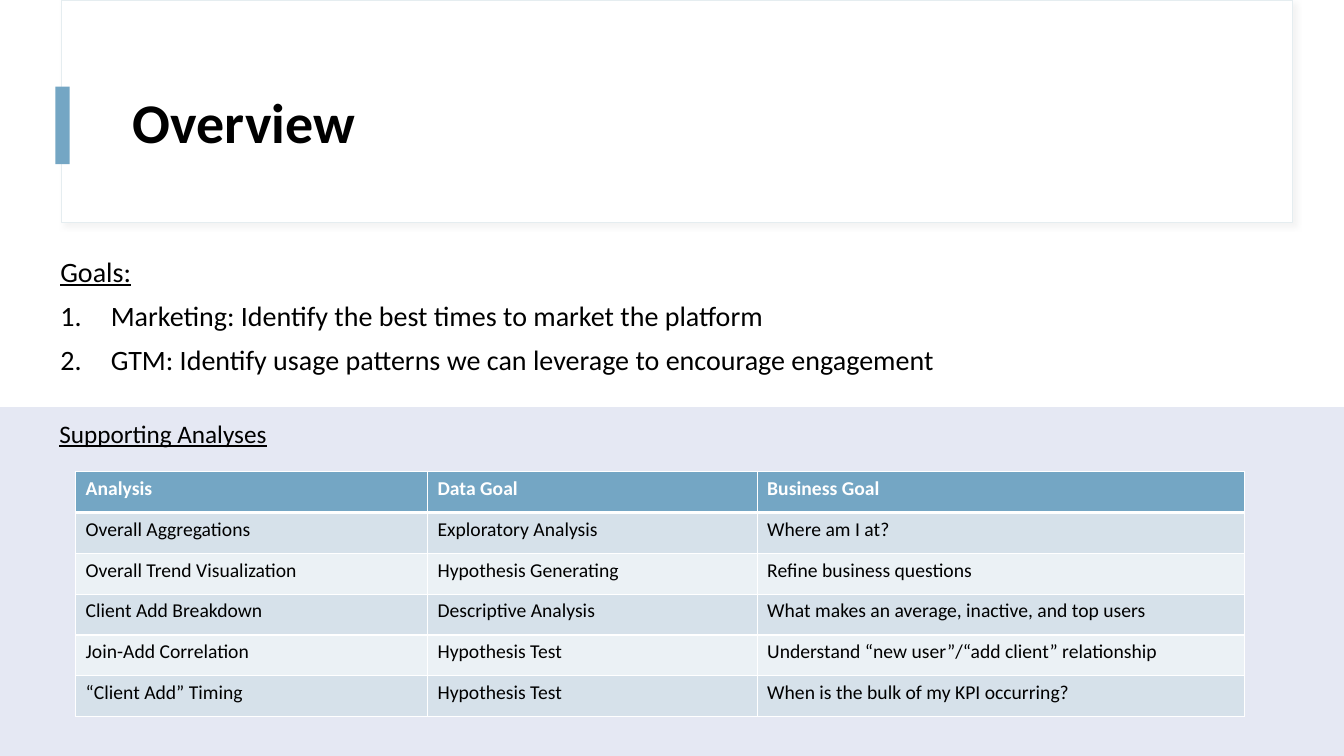
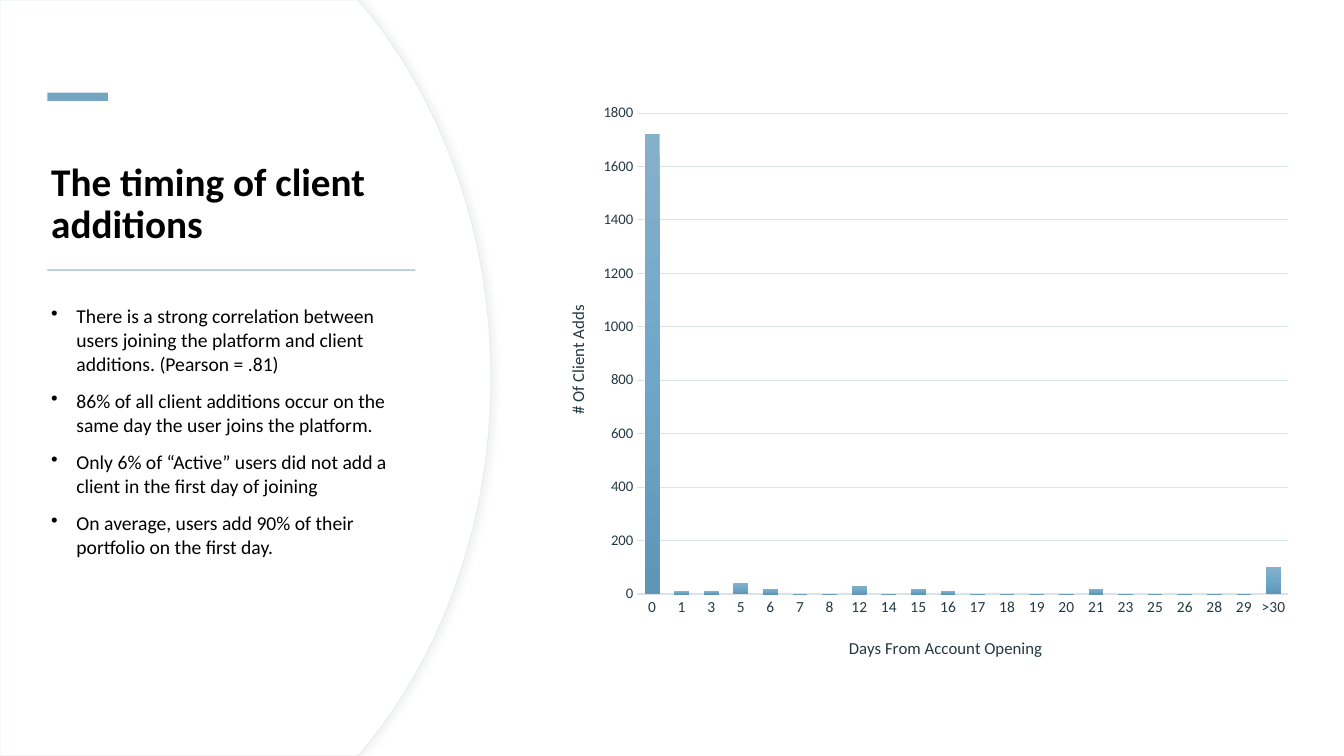
from dataclasses import dataclass

from lxml.etree import SubElement
from pptx import Presentation
from pptx.chart.data import CategoryChartData
from pptx.dml.color import RGBColor
from pptx.enum.chart import XL_CHART_TYPE, XL_TICK_MARK
from pptx.enum.shapes import MSO_SHAPE
from pptx.enum.text import MSO_ANCHOR
from pptx.oxml import parse_xml
from pptx.oxml.ns import qn
from pptx.util import Inches, Pt

DRAWING_NS = "http://schemas.openxmlformats.org/drawingml/2006/main"


@dataclass(frozen=True)
class Theme:
    """Colours, type sizes and font shared by the slides."""
    font: str = "Calibri"
    white: str = "FFFFFF"
    black: str = "000000"
    accent: str = "74A6C4"
    outline: str = "E5EDF0"
    shadow: str = "D9D9D9"
    rule: str = "BDD2DB"
    band: str = "E5E8F3"
    row_fills: tuple = ("D6E1EA", "EBF1F5")
    chart_text: str = "243941"
    grid: str = "D8E4E9"
    bar_stops: tuple = ((0, "85B0CB"), (50, "70A7C8"), (100, "5F96B6"))
    title: float = 40
    side_title: float = 28
    goals: float = 20
    heading: float = 18
    body: float = 14
    axis_title: float = 12
    categories: float = 11
    values: float = 10.5


THEME = Theme()


def rgb(colour):
    """Turn a hex string into a colour."""
    return RGBColor.from_string(colour)


def paint(shape, fill, line=None):
    """Give a shape a flat fill, an optional thin outline and no shadow."""
    shape.shadow.inherit = False
    shape.fill.solid()
    shape.fill.fore_color.rgb = rgb(fill)
    if line:
        shape.line.color.rgb = rgb(line)
        shape.line.width = Pt(0.75)
    else:
        shape.line.fill.background()
    return shape


def add_soft_shadow(shape, degrees):
    """Cast a faint blurred shadow in the given direction."""
    effects = shape._element.spPr.find(qn("a:effectLst"))
    cast = SubElement(effects, qn("a:outerShdw"), blurRad=str(Pt(4)),
                      dist=str(Pt(3)), dir=str(degrees * 60000), rotWithShape="0")
    colour = SubElement(cast, qn("a:srgbClr"), val=THEME.shadow)
    SubElement(colour, qn("a:alpha"), val="30000")


def add_block(slide, box, fill, line=None):
    """Draw a rectangle in the box."""
    lengths = [Inches(length) for length in box]
    return paint(slide.shapes.add_shape(MSO_SHAPE.RECTANGLE, *lengths), fill, line)


def style_font(font, size, colour=THEME.black, bold=False, underline=False):
    """Set the theme font with a size, colour and weight."""
    font.name, font.size, font.bold = THEME.font, Pt(size), bold
    font.color.rgb = rgb(colour)
    if underline:
        font.underline = True


def add_text(slide, box, lines, size, anchor=MSO_ANCHOR.TOP, spacing=1.0,
             before=0, **style):
    """Write one paragraph per line in the box and return the paragraphs."""
    frame = slide.shapes.add_textbox(*[Inches(length) for length in box]).text_frame
    frame.word_wrap = True
    frame.vertical_anchor = anchor
    frame.text = "\n".join(lines)
    for paragraph in frame.paragraphs:
        style_font(paragraph.font, size, **style)
        paragraph.line_spacing = spacing
        paragraph.space_before = Pt(before)
    return frame.paragraphs


def add_title(slide, box, wording, size, anchor):
    """Write a bold slide title."""
    add_text(slide, box, [wording], size, anchor, spacing=0.9, bold=True)


def indent(paragraph, left, hanging=0, marker=None, **marker_details):
    """Indent a paragraph and give it an optional bullet or number."""
    properties = paragraph._p.get_or_add_pPr()
    properties.set("marL", str(Inches(left)))
    properties.set("indent", str(-Inches(hanging)))
    if marker:
        SubElement(properties, qn(marker), **marker_details)


def header_card(slide, left, width, height):
    """Draw the outlined title card with its accent tab."""
    add_soft_shadow(add_block(slide, (left, 0, width, height), THEME.white,
                              THEME.outline), 45)
    add_block(slide, (left - 0.06, 0.86, 0.14, 0.77), THEME.accent)
    add_title(slide, (left + 0.61, 0.6, 11.12, 1.29), "Overview", THEME.title,
              MSO_ANCHOR.MIDDLE)


def goals_list(slide, box):
    """Write the underlined heading and the numbered goals."""
    heading, *goals = add_text(slide, box, [
        "Goals:",
        "Marketing: Identify the best times to market the platform",
        "GTM: Identify usage patterns we can leverage to encourage engagement",
    ], THEME.goals, spacing=1.1, before=5)
    heading.font.underline = True
    indent(heading, 0.5)
    for goal in goals:
        indent(goal, 1, 0.5, "a:buAutoNum", type="arabicPeriod")


def border_cell(cell, top=1, bottom=1):
    """Draw white borders around a table cell."""
    properties = cell._tc.get_or_add_tcPr()
    for side, width in (("L", 1), ("R", 1), ("T", top), ("B", bottom)):
        line = SubElement(properties, qn("a:ln" + side), w=str(Pt(width)))
        fill = SubElement(line, qn("a:solidFill"))
        SubElement(fill, qn("a:srgbClr"), val=THEME.white)


def analyses_table(slide, left, top, column_widths, row_height):
    """Build the table of analyses with its header and banded rows."""
    rows = (
        ("Analysis", "Data Goal", "Business Goal"),
        ("Overall Aggregations", "Exploratory Analysis", "Where am I at?"),
        ("Overall Trend Visualization", "Hypothesis Generating",
         "Refine business questions"),
        ("Client Add Breakdown", "Descriptive Analysis",
         "What makes an average, inactive, and top users"),
        ("Join-Add Correlation", "Hypothesis Test",
         "Understand “new user”/“add client” relationship"),
        ("“Client Add” Timing", "Hypothesis Test",
         "When is the bulk of my KPI occurring?"),
    )
    table = slide.shapes.add_table(
        len(rows), len(column_widths), Inches(left), Inches(top),
        Inches(sum(column_widths)), Inches(row_height * len(rows))).table
    for column, width in zip(table.columns, column_widths):
        column.width = Inches(width)
    for r, row in enumerate(rows):
        is_header = r == 0
        fill = THEME.accent if is_header else THEME.row_fills[(r - 1) % 2]
        for c, wording in enumerate(row):
            cell = table.cell(r, c)
            border_cell(cell, top=3 if r == 1 else 1, bottom=3 if is_header else 1)
            cell.fill.solid()
            cell.fill.fore_color.rgb = rgb(fill)
            cell.text = wording
            style_font(cell.text_frame.paragraphs[0].font, THEME.body,
                       THEME.white if is_header else THEME.black, is_header)


def analyses_band(slide, top, width, height):
    """Fill the lower band with its heading and table."""
    add_block(slide, (0, top, width, height), THEME.band)
    add_text(slide, (0.49, top + 0.06, 3.87, 0.4), ["Supporting Analyses"],
             THEME.heading, underline=True)
    analyses_table(slide, 0.75, top + 0.64, (3.49, 3.27, 4.83), 0.405)


def bezier(start, pull, push, end, steps=40):
    """Sample a cubic curve after its start point."""
    for step in range(1, steps + 1):
        t = step / steps
        weights = ((1 - t) ** 3, 3 * t * (1 - t) ** 2, 3 * t * t * (1 - t), t ** 3)
        yield tuple(sum(w * point[axis] for w, point in
                        zip(weights, (start, pull, push, end))) for axis in (0, 1))


def curved_panel(slide, width, height):
    """Draw the left panel whose right edge bulges outwards."""
    middle = height / 2
    shoulder = (width - 1.25, 0.08)
    upper = [(width - 1.32, 0), shoulder,
             *bezier(shoulder, (width - 0.48, 1.02), (width, 2.32), (width, middle))]
    lower = [(x, height - y) for x, y in reversed(upper[:-1])]
    outline = slide.shapes.build_freeform(0, 0, scale=Inches(1) / 1000)
    outline.add_line_segments([(round(x * 1000), round(y * 1000)) for x, y in
                               [*upper, *lower, (0, height)]], close=True)
    panel = paint(outline.convert_to_shape(), THEME.white, THEME.outline)
    add_soft_shadow(panel, 0)


def timing_findings(slide, left, width):
    """Write the side title, its rule and the findings."""
    add_block(slide, (left + 0.06, 0.92, 0.6, 0.08), THEME.accent)
    add_title(slide, (left, 1.27, width, 1.23), "The timing of client additions",
              THEME.side_title, MSO_ANCHOR.BOTTOM)
    add_block(slide, (left + 0.06, 2.67, 3.65, 0.02), THEME.rule)
    findings = add_text(slide, (left, 2.97, width, 3.51), [
        "There is a strong correlation between users joining the platform and "
        "client additions. (Pearson = .81)",
        "86% of all client additions occur on the same day the user joins the platform.",
        "Only 6% of “Active” users did not add a client in the first day of joining",
        "On average, users add 90% of their portfolio on the first day.",
    ], THEME.body, before=10)
    for finding in findings:
        indent(finding, 0.25, 0.25, "a:buChar", char="•")


def place(element, index, target=None, **fractions):
    """Fix a chart part at fractions of the chart area."""
    for old in element.findall(qn("c:layout")):
        element.remove(old)
    layout = element.makeelement(qn("c:layout"))
    element.insert(index, layout)
    manual = SubElement(layout, qn("c:manualLayout"))
    if target:
        SubElement(manual, qn("c:layoutTarget"), val=target)
    for mode in ("xMode", "yMode"):
        SubElement(manual, qn("c:" + mode), val="edge")
    for name, fraction in fractions.items():
        SubElement(manual, qn("c:" + name), val=str(fraction))


def style_axis(axis, wording, size, x, y):
    """Style an axis and place its title."""
    axis.major_tick_mark = axis.minor_tick_mark = XL_TICK_MARK.NONE
    style_font(axis.tick_labels.font, size, THEME.chart_text)
    title = axis.axis_title
    title.text_frame.text = wording
    style_font(title.text_frame.paragraphs[0].font, THEME.axis_title, THEME.chart_text)
    place(title._element, 1, x=x, y=y)


def additions_chart(slide, box):
    """Build the column chart of client adds by days from opening."""
    adds_by_day = {
        "0": 1720, "1": 10, "3": 10, "5": 40, "6": 20, "7": 0, "8": 0, "12": 30,
        "14": 0, "15": 20, "16": 10, "17": 0, "18": 0, "19": 0, "20": 0, "21": 20,
        "23": 0, "25": 0, "26": 0, "28": 0, "29": 0, ">30": 100,
    }
    chart_data = CategoryChartData()
    chart_data.categories = list(adds_by_day)
    chart_data.add_series("Series 1", list(adds_by_day.values()))
    chart = slide.shapes.add_chart(XL_CHART_TYPE.COLUMN_CLUSTERED,
                                   *[Inches(length) for length in box], chart_data).chart
    chart.has_legend = chart.has_title = False
    style_font(chart.font, 10)
    days, adds = chart.category_axis, chart.value_axis
    style_axis(days, "Days From Account Opening", THEME.categories, 0.4, 0.93)
    style_axis(adds, "# Of Client Adds", THEME.values, 0.03, 0.36)
    adds.minimum_scale, adds.maximum_scale, adds.major_unit = 0, 1800, 200
    adds.format.line.fill.background()
    for line in (days.format.line, adds.major_gridlines.format.line):
        line.color.rgb = rgb(THEME.grid)
        line.width = Pt(0.75)
    columns = chart.plots[0]
    columns.vary_by_categories = False
    columns.gap_width, columns.overlap = 100, -24
    stops = "".join(f'<a:gs pos="{position * 1000}"><a:srgbClr val="{colour}"/></a:gs>'
                    for position, colour in THEME.bar_stops)
    series = columns.series[0]
    series.invert_if_negative = False
    series._element.get_or_add_spPr().append(parse_xml(
        f'<a:gradFill xmlns:a="{DRAWING_NS}"><a:gsLst>{stops}</a:gsLst>'
        '<a:lin ang="5400000" scaled="0"/></a:gradFill>'))
    place(chart._chartSpace.chart.plotArea, 0, "inner", x=0.127, y=0.035, w=0.853, h=0.827)


def overview_slide(slide):
    """Compose the overview of goals and analyses."""
    header_card(slide, 0.61, 12.21, 2.21)
    goals_list(slide, (0, 2.44, 11.12, 2.11))
    analyses_band(slide, 4.04, 13.33, 3.46)


def timing_slide(slide):
    """Compose the findings and chart on client additions."""
    curved_panel(slide, 4.87, 7.5)
    timing_findings(slide, 0.41, 3.76)
    additions_chart(slide, (5.36, 0.92, 7.57, 5.77))


deck = Presentation()
deck.slide_width, deck.slide_height = Inches(13.33), Inches(7.5)
for compose in (overview_slide, timing_slide):
    compose(deck.slides.add_slide(deck.slide_layouts[6]))
deck.save("out.pptx")
